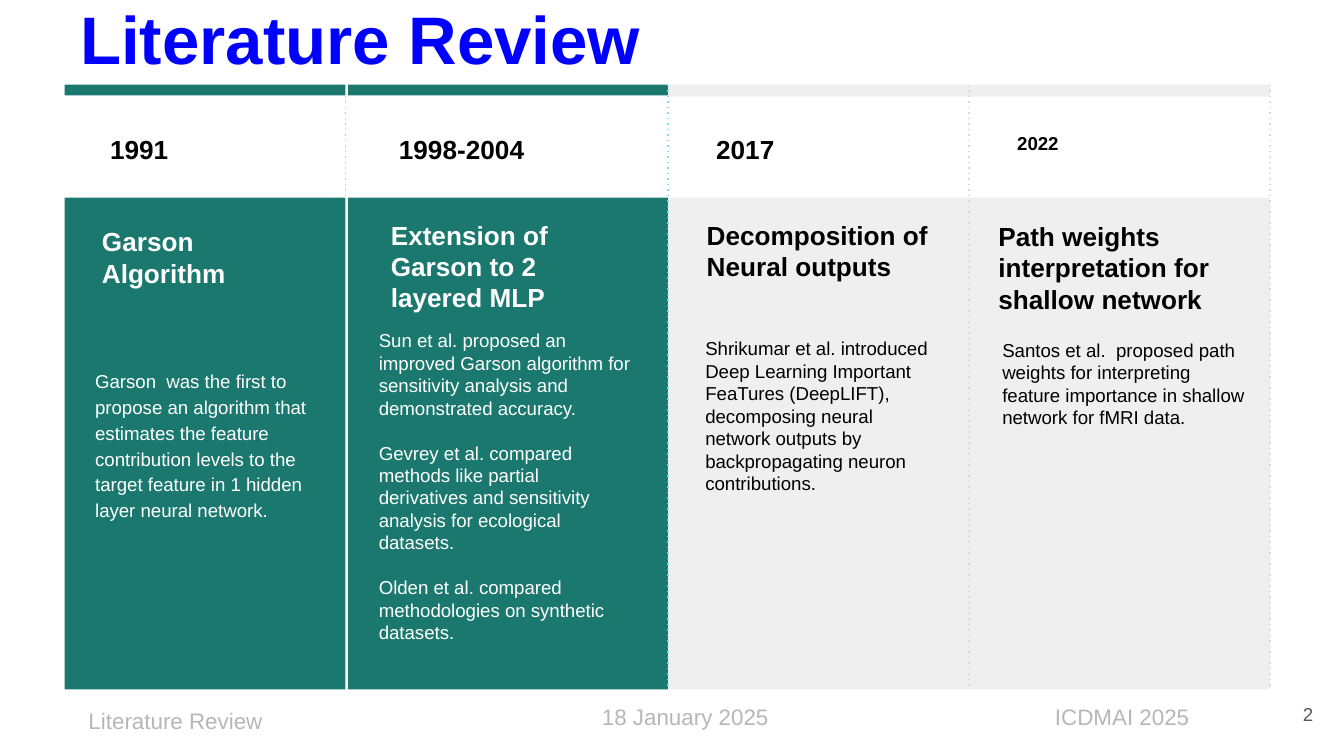
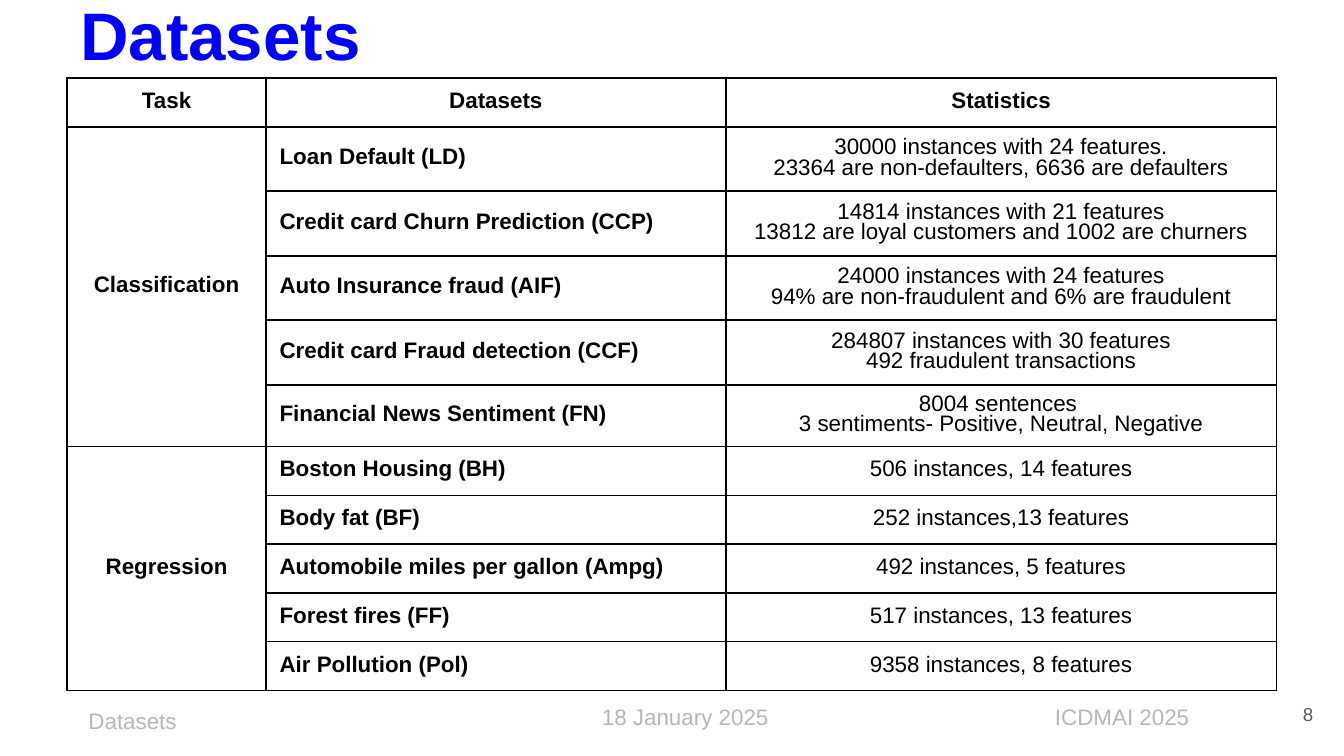
"""Builds two slides: a literature timeline and a table of datasets."""
from lxml.etree import SubElement
from pptx import Presentation
from pptx.dml.color import RGBColor
from pptx.enum.shapes import MSO_CONNECTOR as Link, MSO_SHAPE as Form
from pptx.enum.text import MSO_ANCHOR as Anchor, PP_ALIGN as Align
from pptx.oxml import parse_xml
from pptx.oxml.ns import nsdecls, qn
from pptx.util import Inches, Pt

FONT = "Arial"
HEX = {"title": "0000FF", "foot": "B7B7B7", "number": "595959",
       "black": "000000", "white": "FFFFFF", "teal": "1B786F",
       "mint": "83E3DA", "pale": "EFEFEF", "grey": "D9D9D9"}
DATE, EVENT = "18 January 2025", "ICDMAI 2025"

TEAL = {"fill": "teal", "rule": "mint", "ink": "white"}
PALE = {"fill": "pale", "rule": "grey", "ink": "black"}
STAGES = [
    {"look": TEAL, "span": (0.48, 2.09), "bar": 0.08,
     "year": ("1991", 14, (0.72, 0.86, 1.19, 0.41)),
     "head": ("Garson Algorithm", (0.66, 1.58, 1.61, 0.56)),
     "body": ("Garson  was the first to propose an algorithm that estimates the "
              "feature contribution levels to the target feature in 1 hidden "
              "layer neural network.", (0.61, 2.21, 1.83, 2.35)),
     "style": {"anchor": Anchor.MIDDLE, "lead": 1.15, "low": 0.26}},
    {"look": TEAL, "span": (2.59, 2.38), "bar": 0.08,
     "year": ("1998-2004", 14, (2.87, 0.86, 1.8, 0.41)),
     "head": ("Extension of Garson to 2 layered MLP", (2.81, 1.53, 1.94, 0.64)),
     "body": ("Sun et al. proposed an improved Garson algorithm for sensitivity "
              "analysis and demonstrated accuracy.\n"
              "Gevrey et al. compared methods like partial derivatives and "
              "sensitivity analysis for ecological datasets.\n"
              "Olden et al. compared methodologies on synthetic datasets.",
              (2.72, 2.35, 2.08, 2.61)),
     "style": {"gap": 12}},
    {"look": PALE, "span": (4.97, 2.24), "bar": 0.09,
     "year": ("2017", 14, (5.23, 0.86, 1.28, 0.41)),
     "head": ("Decomposition of Neural outputs", (5.16, 1.53, 1.94, 0.64)),
     "body": ("Shrikumar et al. introduced Deep Learning Important FeaTures "
              "(DeepLIFT), decomposing neural network outputs by "
              "backpropagating neuron contributions.", (5.15, 2.41, 1.94, 2.3)),
     "style": {}},
    {"look": PALE, "span": (7.21, 2.24), "bar": 0.09,
     "year": ("2022", 10, (7.47, 0.86, 1.28, 0.41)),
     "head": ("Path weights interpretation for shallow network",
              (7.33, 1.54, 2, 0.72)),
     "body": ("Santos et al.  proposed path weights for interpreting feature "
              "importance in shallow network for fMRI data.",
              (7.36, 2.42, 2, 1.56)),
     "style": {}},
]

HEADS = ("Task", "Datasets", "Statistics")
TASKS = {
    "Classification": [
        ("Loan Default (LD)", "30000 instances with 24 features.\n"
         "23364 are non-defaulters, 6636 are defaulters"),
        ("Credit card Churn Prediction (CCP)", "14814 instances with 21 features\n"
         "13812 are loyal customers and 1002 are churners"),
        ("Auto Insurance fraud (AIF)", "24000 instances with 24 features\n"
         "94% are non-fraudulent and 6% are fraudulent"),
        ("Credit card Fraud detection (CCF)", "284807 instances with 30 features\n"
         "492 fraudulent transactions"),
        ("Financial News Sentiment (FN)",
         "8004 sentences \v3 sentiments- Positive, Neutral, Negative"),
    ],
    "Regression": [
        ("Boston Housing (BH)", "506 instances, 14 features"),
        ("Body fat (BF)", "252 instances,13 features"),
        ("Automobile miles per gallon (Ampg)", "492 instances, 5 features"),
        ("Forest fires (FF)", "517 instances, 13 features"),
        ("Air Pollution (Pol)", "9358 instances, 8 features"),
    ],
}
COLS = (1.48, 3.42, 4.1)
HIGH, TALL, LAST = 4.56, 0.48, 0.46
SHORT = (HIGH - 4 * TALL - LAST) / 6
ROWS = [SHORT] + [TALL] * 4 + [LAST] + [SHORT] * 5


def color(name):
    return RGBColor.from_string(HEX[name])


def put(frame, text, size, ink, bold=False, align=Align.LEFT, lead=None, gap=0):
    frame.text = text
    for i, para in enumerate(frame.paragraphs):
        para.alignment = align
        para.line_spacing = lead
        para.space_before = Pt(gap if i else 0)
        font = para.font
        font.name, font.size, font.bold = FONT, Pt(size), bold
        font.color.rgb = color(ink)


def label(slide, box, text, size, ink, anchor=Anchor.TOP, low=0.1, **style):
    frame = slide.shapes.add_textbox(*map(Inches, box)).text_frame
    frame.word_wrap = True
    frame.vertical_anchor = anchor
    frame.margin_left = frame.margin_right = frame.margin_top = Inches(0.1)
    frame.margin_bottom = Inches(low)
    put(frame, text, size, ink, **style)


def panel(slide, box, fill):
    rect = slide.shapes.add_shape(Form.RECTANGLE, *map(Inches, box))
    rect.shadow.inherit = False
    rect.fill.solid()
    rect.fill.fore_color.rgb = color(fill)
    rect.line.fill.background()


def rule(slide, x, top, end, ink):
    line = slide.shapes.add_connector(
        Link.STRAIGHT, Inches(x), Inches(top), Inches(x), Inches(end))
    line.line.color.rgb = color(ink)
    line.line.width = Pt(0.75)
    props = line._element.spPr
    SubElement(props.find(qn("a:ln")), qn("a:prstDash"), val="dot")
    SubElement(props, qn("a:effectLst"))


def start(deck, title, number, high):
    slide = deck.slides.add_slide(deck.slide_layouts[6])
    mid = {"anchor": Anchor.MIDDLE}
    label(slide, (7.2, 5.14, 2.3, 0.39), EVENT, 12, "foot", align=Align.CENTER, **mid)
    label(slide, (4.38, 5.14, 1.5, 0.39), DATE, 12, "foot", align=Align.JUSTIFY, **mid)
    label(slide, (0.5, 0, 9, high), title, 36, "title", bold=True,
          align=Align.JUSTIFY, **mid)
    label(slide, (0.56, 5.22, 2.01, 0.28), title, 12, "foot", **mid)
    label(slide, (9.27, 5.1, 0.6, 0.43), number, 10, "number",
          align=Align.RIGHT, **mid)
    return slide


def review(deck):
    slide = start(deck, "Literature Review", "2", 0.56)
    for stage in reversed(STAGES):
        look, (left, wide) = stage["look"], stage["span"]
        panel(slide, (left, 1.47, wide, 3.66), look["fill"])
        panel(slide, (left, 0.63, wide, stage["bar"]), look["fill"])
        rule(slide, left + wide, 0.63, 5.11, look["rule"])
        year, size, box = stage["year"]
        label(slide, box, year, size, "black", bold=True, lead=1.15)
        head, box = stage["head"]
        label(slide, box, head, 14, look["ink"], bold=True)
        body, box = stage["body"]
        label(slide, box, body, 10, look["ink"], **stage["style"])


def edge(cell):
    props = cell._tc.get_or_add_tcPr()
    for i, side in enumerate("LRTB"):
        props.insert(i, parse_xml(
            f'<a:ln{side} {nsdecls("a")} w="{Pt(1)}"><a:solidFill>'
            f'<a:srgbClr val="{HEX["black"]}"/></a:solidFill></a:ln{side}>'))


def fill(cell, text, bold=True, align=Align.CENTER):
    cell.vertical_anchor = Anchor.MIDDLE
    put(cell.text_frame, text, 12, "black", bold, align, lead=0.8)


def data(deck):
    slide = start(deck, "Datasets", "8", 0.5)
    box = map(Inches, (0.5, 0.58, sum(COLS), HIGH))
    table = slide.shapes.add_table(len(ROWS), len(COLS), *box).table
    table.first_row = table.horz_banding = False
    for col, wide in zip(table.columns, COLS):
        col.width = Inches(wide)
    for row, high in zip(table.rows, ROWS):
        row.height = Inches(high)
    for cell in table.iter_cells():
        cell.fill.background()
        edge(cell)
    for c, head in enumerate(HEADS):
        fill(table.cell(0, c), head)
    r = 1
    for task, sets in TASKS.items():
        table.cell(r, 0).merge(table.cell(r + len(sets) - 1, 0))
        fill(table.cell(r, 0), task)
        for name, stats in sets:
            fill(table.cell(r, 1), name, align=Align.JUSTIFY)
            fill(table.cell(r, 2), stats, bold=False)
            r += 1


def main():
    deck = Presentation()
    deck.slide_width = Inches(10)
    deck.slide_height = deck.slide_width * 9 // 16
    review(deck)
    data(deck)
    deck.save("out.pptx")


if __name__ == "__main__":
    main()
